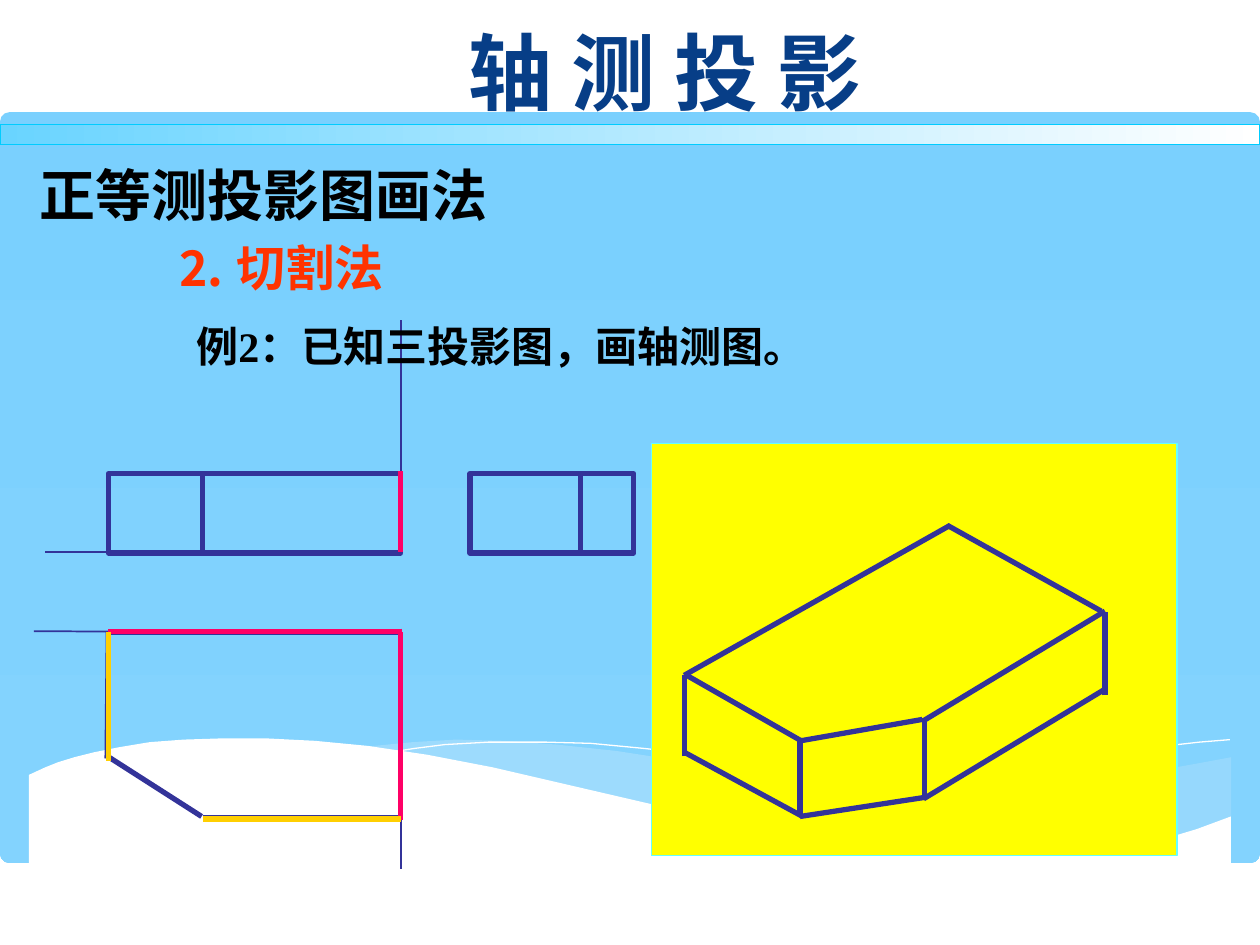
from typing import NamedTuple, Optional

from lxml import etree
from pptx import Presentation
from pptx.dml.color import RGBColor
from pptx.enum.shapes import MSO_CONNECTOR, MSO_SHAPE
from pptx.enum.text import MSO_ANCHOR, MSO_AUTO_SIZE, PP_ALIGN
from pptx.oxml.ns import qn
from pptx.util import Inches, Pt

STRAIGHT = MSO_CONNECTOR.STRAIGHT
RECT, ROUND_RECT = MSO_SHAPE.RECTANGLE, MSO_SHAPE.ROUNDED_RECTANGLE
BOTTOM, MIDDLE = MSO_ANCHOR.BOTTOM, MSO_ANCHOR.MIDDLE
LEFT, CENTER = PP_ALIGN.LEFT, PP_ALIGN.CENTER
CJK_FONT = "Noto Sans CJK SC"

COLORS = {
    "sky_top": "7AD0FE", "sky_bottom": "83D3FE", "wave": "C6E7FC",
    "white": "FFFFFF", "black": "000000", "title": "073E87",
    "method": "FF3300", "edge": "333399", "pink": "FF0066",
    "gold": "FFCF01", "panel": "FFFF00", "panel_line": "66FFFF",
    "band": "69D4FF", "band_line": "00CCFF",
}


class Box(NamedTuple):
    left: float
    top: float
    width: float
    height: float


class Wave(NamedTuple):
    points: list
    opacity: Optional[int]


class Line(NamedTuple):
    x1: float
    y1: float
    x2: float
    y2: float
    color: str = "edge"
    width: float = 3


class Label(NamedTuple):
    text: str
    box: Box
    size: int
    font: str
    color: str
    align: int = LEFT
    anchor: int = MIDDLE
    wrap: bool = False


WAVES = [
    Wave([(9.77, 6.01), (9.5, 6.06), (9.22, 6.11), (8.92, 6.18), (8.62, 6.25),
          (8.06, 6.39), (7.54, 6.5), (7.07, 6.59), (6.62, 6.67), (6.92, 6.71),
          (7.19, 6.74), (7.45, 6.77), (7.7, 6.79), (8.04, 6.8), (8.36, 6.79),
          (8.64, 6.77), (8.9, 6.74), (9.14, 6.69), (9.37, 6.63), (9.64, 6.54),
          (9.77, 6.49)], 29),
    Wave([(8.94, 6.75), (8.67, 6.71), (8.08, 6.62), (7.42, 6.49), (6.69, 6.33),
          (6.3, 6.24), (5.99, 6.16), (5.7, 6.1), (5.42, 6.05), (5.15, 6),
          (4.89, 5.96), (4.42, 5.91), (4, 5.88), (3.62, 5.87), (3.28, 5.89),
          (2.87, 5.93), (3.23, 5.98), (3.63, 6.05), (4.05, 6.13), (4.5, 6.24),
          (4.91, 6.34), (5.3, 6.42), (5.85, 6.54), (6.35, 6.63), (6.81, 6.7),
          (7.23, 6.76), (7.62, 6.79), (8.08, 6.8), (8.49, 6.79)], 40),
    Wave([(3.1, 5.97), (3.29, 5.94), (3.53, 5.91), (3.88, 5.89), (4.33, 5.89),
          (4.69, 5.9), (5.11, 5.94), (5.57, 5.99), (6.09, 6.06), (6.66, 6.15),
          (7.28, 6.28), (7.96, 6.43), (8.7, 6.62), (9.08, 6.73)], None),
    Wave([(6.14, 6.59), (6.53, 6.48), (6.96, 6.37), (7.48, 6.25), (8.07, 6.12),
          (8.67, 6), (8.97, 5.96), (9.25, 5.92), (9.52, 5.89), (9.76, 5.87)],
         None),
    Wave([(9.77, 6.48), (9.5, 6.58), (9.2, 6.67), (8.87, 6.73), (8.5, 6.77),
          (8.09, 6.79), (7.61, 6.77), (7.08, 6.72), (6.47, 6.64), (6.03, 6.56),
          (5.55, 6.47), (5.03, 6.35), (4.47, 6.22), (3.91, 6.09), (3.39, 5.99),
          (2.92, 5.92), (2.5, 5.88), (2.11, 5.86), (1.77, 5.86), (1.46, 5.87),
          (1.19, 5.89), (0.95, 5.93), (0.75, 5.97), (0.59, 6.01), (0.46, 6.05),
          (0.36, 6.09), (0.23, 6.15), (0.23, 7.31), (9.77, 7.31)], 100),
]

VIEW_FRAMES = [Box(0.86, 3.76, 2.32, 0.63), Box(3.73, 3.76, 1.3, 0.63)]
VIEW_LINES = [
    Line(3.18, 4.99, 3.18, 6.9, width=1),
    Line(3.18, 5.02, 0.27, 5.01, width=1),
    Line(3.18, 4.38, 3.18, 2.54, width=1),
    Line(3.2, 4.38, 0.36, 4.38, width=1),
    Line(0.86, 5.02, 3.18, 5.02),
    Line(3.18, 5.02, 3.18, 6.51),
    Line(0.85, 6, 1.6, 6.48),
    Line(1.61, 4.39, 1.61, 3.76),
    Line(4.61, 4.39, 4.61, 3.76),
    Line(0.86, 5.01, 0.85, 6.02),
    Line(1.61, 6.49, 3.18, 6.49),
    Line(3.19, 5.01, 0.86, 5.01, "pink"),
    Line(3.18, 5.02, 3.18, 6.51, "pink"),
    Line(3.18, 4.38, 3.18, 3.74, "pink"),
    Line(3.18, 6.5, 1.61, 6.5, "gold"),
    Line(0.86, 5.02, 0.86, 6.04, "gold"),
]
SOLID_LINES = [
    Line(5.43, 6, 5.43, 5.36),
    Line(8.77, 5.52, 8.77, 4.86),
    Line(7.54, 4.17, 5.43, 5.36),
    Line(7.52, 4.17, 8.74, 4.85),
    Line(5.45, 5.36, 6.36, 5.88),
    Line(8.77, 4.85, 7.33, 5.72),
    Line(6.35, 5.88, 6.35, 6.48),
    Line(6.35, 5.88, 7.32, 5.71),
    Line(6.35, 6.48, 7.33, 6.33),
    Line(7.34, 5.7, 7.34, 6.34),
    Line(5.43, 5.97, 6.37, 6.48),
    Line(8.77, 5.47, 7.33, 6.34),
]

TITLE = Label("轴 测 投 影", Box(3.11, 0.21, 4.33, 0.75), 48, "Cabin", "title",
              CENTER, BOTTOM, True)
LABELS = [
    Label("正等测投影图画法", Box(0, 1.31, 4.19, 0.5), 32, CJK_FONT, "black",
          CENTER, BOTTOM, True),
    Label("例2：已知三投影图，画轴测图。", Box(1.46, 2.49, 5.06, 0.5), 24,
          "Times New Roman", "black"),
    Label("⒉ 切割法", Box(1.3, 1.83, 1.86, 0.57), 28, "Times New Roman",
          "method"),
]


def rgb(name: str) -> RGBColor:
    return RGBColor.from_string(COLORS[name])


def add_box(s, box: Box, kind=RECT, fill=(), line=None, width: float = 1,
            angle: int = 0):
    sp = s.shapes.add_shape(kind, *map(Inches, box))
    sp.shadow.inherit = False
    if len(fill) == 2:
        sp.fill.gradient()
        sp.fill.gradient_angle = angle
        for stop, name in zip(sp.fill.gradient_stops, fill):
            stop.color.rgb = rgb(name)
    elif fill:
        sp.fill.solid()
        sp.fill.fore_color.rgb = rgb(fill[0])
    else:
        sp.fill.background()
    if line:
        sp.line.color.rgb = rgb(line)
        sp.line.width = Pt(width)
    else:
        sp.line.fill.background()
    return sp


def add_wave(s, wave: Wave) -> None:
    start, *rest = [(Inches(x), Inches(y)) for x, y in wave.points]
    builder = s.shapes.build_freeform(*start)
    builder.add_line_segments(rest, close=wave.opacity is not None)
    sp = builder.convert_to_shape()
    sp.shadow.inherit = False
    if wave.opacity is None:
        sp.fill.background()
        sp.line.color.rgb = rgb("white")
        sp.line.width = Pt(0)
        return
    sp.line.fill.background()
    sp.fill.solid()
    sp.fill.fore_color.rgb = rgb("white" if wave.opacity == 100 else "wave")
    color = sp.fill._xPr.find(qn("a:solidFill"))[0]
    etree.SubElement(color, qn("a:alpha"), val=str(wave.opacity * 1000))


def add_line(s, line: Line) -> None:
    ends = map(Inches, (line.x1, line.y1, line.x2, line.y2))
    c = s.shapes.add_connector(STRAIGHT, *ends)
    c.line.color.rgb = rgb(line.color)
    c.line.width = Pt(line.width)
    etree.SubElement(c._element.spPr, qn("a:effectLst"))


def write_label(sp, label: Label) -> None:
    sp.left, sp.top, sp.width, sp.height = map(Inches, label.box)
    tf = sp.text_frame
    tf.text = label.text
    tf.auto_size = MSO_AUTO_SIZE.NONE
    tf.word_wrap = label.wrap
    tf.vertical_anchor = label.anchor
    if label.anchor == BOTTOM:
        tf.margin_bottom = 0
    p = tf.paragraphs[0]
    p.alignment = label.align
    p.font.size = Pt(label.size)
    p.font.bold = True
    p.font.name = label.font
    p.font.color.rgb = rgb(label.color)
    etree.SubElement(p.font._rPr, qn("a:ea"), typeface=CJK_FONT)


def main() -> None:
    prs = Presentation()
    prs.slide_width, prs.slide_height = Inches(10), Inches(7.5)
    s = prs.slides.add_slide(prs.slide_layouts[5])

    sky = add_box(s, Box(0, 0.89, 10, 5.96), ROUND_RECT,
                  ("sky_top", "sky_bottom"), angle=270)
    sky.adjustments[0] = 0.013
    for wave in WAVES:
        add_wave(s, wave)

    for frame in VIEW_FRAMES:
        add_box(s, frame, line="edge", width=3)
    for line in VIEW_LINES:
        add_line(s, line)

    add_box(s, Box(5.17, 3.52, 4.17, 3.27), fill=("panel",), line="panel_line")
    for line in SOLID_LINES:
        add_line(s, line)

    add_box(s, Box(0, 0.99, 10, 0.16), fill=("band", "white"),
            line="band_line", width=0.75)
    write_label(s.shapes.title, TITLE)
    for label in LABELS:
        write_label(s.shapes.add_textbox(*map(Inches, label.box)), label)
    prs.save("out.pptx")


if __name__ == "__main__":
    main()
